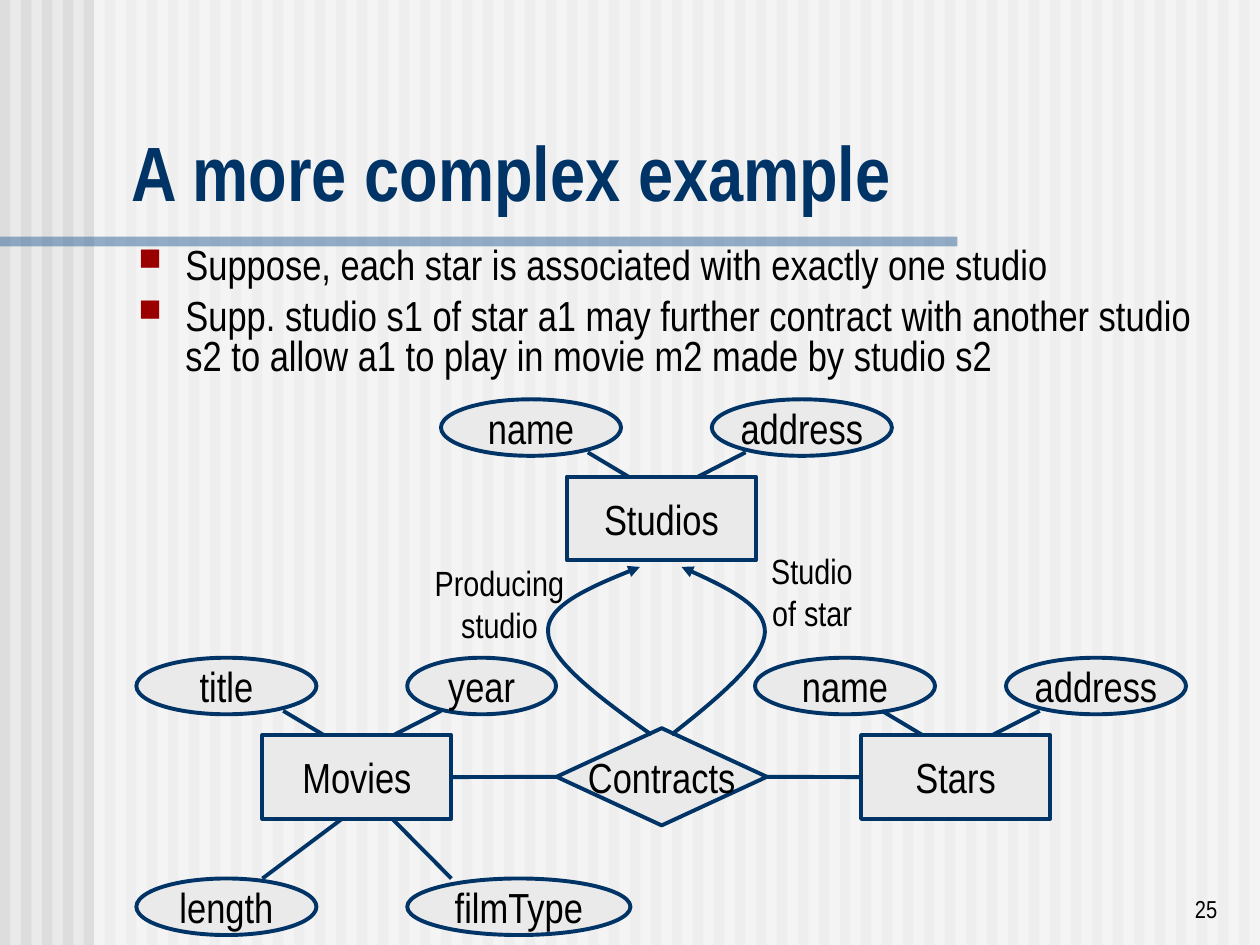
from lxml.etree import SubElement
from pptx import Presentation
from pptx.dml.color import RGBColor
from pptx.enum.shapes import MSO_CONNECTOR, MSO_SHAPE
from pptx.enum.text import MSO_ANCHOR, PP_ALIGN
from pptx.oxml.ns import qn
from pptx.util import Cm, Pt

NAVY = RGBColor(0x00, 0x33, 0x66)
BLUE = RGBColor(0x33, 0x66, 0x99)
RED = RGBColor(0x9A, 0x00, 0x00)
PALE = RGBColor(0xEA, 0xEA, 0xEA)
GREY = RGBColor(0xDD, 0xDD, 0xDD)
WHITE = RGBColor(0xFF, 0xFF, 0xFF)
BLACK = RGBColor(0x00, 0x00, 0x00)
FONT = "Arial Narrow"

# All lengths are in centimetres.
WIDE, HIGH = 25.4, 19.05
STRIPES = 60
BOX_W, BOX_H = 3.81, 1.69
OVAL_W, OVAL_H = 3.63, 1.14
ABOVE, BELOW = -1.56, 2.89  # top of an oval row, from the top of its box

TITLE = "A more complex example"
BULLETS = [
    "Suppose, each star is associated with exactly one studio",
    "Supp. studio s1 of star a1 may further contract with another studio "
    "s2 to allow a1 to play in movie m2 made by studio s2",
]
# Entity: left, top, and its ovals as (text, offset, row, width)
ENTITIES = {
    "Movies": (5.29, 14.82, [("title", -2.54, ABOVE, OVAL_W),
                             ("year", 2.92, ABOVE, 3.0),
                             ("length", -2.54, BELOW, OVAL_W),
                             ("filmType", 2.92, BELOW, 4.5)]),
    "Stars": (17.36, 14.82, [("name", -2.14, ABOVE, OVAL_W),
                             ("address", 2.92, ABOVE, OVAL_W)]),
    "Studios": (11.43, 9.61, [("name", -2.54, ABOVE, OVAL_W),
                              ("address", 2.92, ABOVE, OVAL_W)]),
}
# (row, right side?): line from an oval to the box edge, offsets from the box
SPOKES = {
    (ABOVE, False): (0.42, -0.49, 1.24, 0),
    (ABOVE, True): (3.6, -0.49, 2.64, 0),
    (BELOW, False): (0, BELOW, 1.6, BOX_H),
    (BELOW, True): (3.81, BELOW, 2.62, BOX_H),
}
# Role: lines of text, label place, and two cubic curves end to end
ROLES = [
    (["Producing", "studio"], (7.24, 11.18),
     [(13.13, 14.81), (12.09, 14.07), (11.07, 13.31), (11.05, 12.75),
      (11.0, 12.19), (11.96, 11.81), (12.9, 11.43)]),
    (["Studio", "of star"], (13.54, 10.95),
     [(13.54, 14.81), (14.48, 14.07), (15.39, 13.31), (15.42, 12.75),
      (15.44, 12.19), (14.58, 11.81), (13.74, 11.43)]),
]

prs = Presentation()
prs.slide_width, prs.slide_height = Cm(WIDE), Cm(HIGH)
slide = prs.slides.add_slide(prs.slide_layouts[6])
slide.background.fill.solid()
slide.background.fill.fore_color.rgb = PALE
shapes = slide.shapes


def write(shape, lines, size=24, color=BLACK, bold=False, wrap=False,
          align=PP_ALIGN.CENTER, anchor=MSO_ANCHOR.MIDDLE,
          bullet=None, spacing=None, before=0):
    frame = shape.text_frame
    frame.word_wrap, frame.vertical_anchor = wrap, anchor
    for i, line in enumerate(lines):
        para = frame.paragraphs[0] if i == 0 else frame.add_paragraph()
        if bullet:
            props = para._p.get_or_add_pPr()
            props.set("marL", str(Cm(0.95)))
            props.set("indent", str(-Cm(0.95)))
            tint = SubElement(props, qn("a:buClr"))
            SubElement(tint, qn("a:srgbClr")).set("val", str(RED))
            SubElement(props, qn("a:buSzPct")).set("val", "75000")
            SubElement(props, qn("a:buChar")).set("char", bullet)
        para.alignment = align
        if spacing:
            para.line_spacing = spacing
        if i and before:
            para.space_before = Pt(before)
        run = para.add_run()
        run.text = line
        font = run.font
        font.name, font.size, font.bold = FONT, Pt(size), bold
        font.color.rgb = color


def text(x, y, w, h, lines, **form):
    write(shapes.add_textbox(Cm(x), Cm(y), Cm(w), Cm(h)), lines, **form)


def band(x, y, w, h, color, alpha=None):
    """Add a rectangle with no outline, see-through if alpha is given."""
    rect = shapes.add_shape(MSO_SHAPE.RECTANGLE, Cm(x), Cm(y), Cm(w), Cm(h))
    rect.shadow.inherit = False
    rect.fill.solid()
    rect.fill.fore_color.rgb = color
    rect.line.fill.background()
    if alpha:
        tint = rect._element.spPr.find(".//" + qn("a:srgbClr"))
        SubElement(tint, qn("a:alpha")).set("val", str(alpha * 1000))


def stroke(shape):
    shape.line.color.rgb = NAVY
    shape.line.width = Pt(2.25)


def node(kind, x, y, w, h, label):
    shape = shapes.add_shape(kind, Cm(x), Cm(y), Cm(w), Cm(h))
    shape.shadow.inherit = False
    shape.fill.solid()
    shape.fill.fore_color.rgb = PALE
    stroke(shape)
    write(shape, [label])
    return shape


def link(x1=0, y1=0, x2=0, y2=0):
    line = shapes.add_connector(MSO_CONNECTOR.STRAIGHT,
                                Cm(x1), Cm(y1), Cm(x2), Cm(y2))
    stroke(line)
    SubElement(line._element.spPr, qn("a:effectLst"))
    return line


def cubic(a, b, c, d, steps=20):
    """Return points along a cubic curve, without its start."""
    points = []
    for i in range(1, steps + 1):
        t = i / steps
        s = 1 - t
        points.append(tuple(
            Cm(s**3 * p + 3 * s * s * t * q + 3 * s * t * t * r + t**3 * e)
            for p, q, r, e in zip(a, b, c, d)))
    return points


def arrow(knots):
    x, y = knots[0]
    pen = shapes.build_freeform(Cm(x), Cm(y))
    pen.add_line_segments(cubic(*knots[:4]) + cubic(*knots[3:]), close=False)
    curve = pen.convert_to_shape()
    curve.shadow.inherit = False
    curve.fill.background()
    stroke(curve)
    SubElement(curve.line._get_or_add_ln(),
               qn("a:tailEnd")).set("type", "triangle")


pitch = WIDE / STRIPES
for i in range(STRIPES):
    band(i * pitch, 0, pitch / 2, HIGH, GREY)
band(1.9, 0, WIDE - 1.9, HIGH, WHITE, alpha=50)
band(0, 4.77, 19.3, 0.2, BLUE, alpha=50)

text(2.41, 2.39, 22.68, 2.11, [TITLE], size=44, color=NAVY, bold=True,
     wrap=True, align=PP_ALIGN.LEFT, anchor=MSO_ANCHOR.BOTTOM)
text(2.54, 4.88, 22.53, 3.18, BULLETS, wrap=True, align=PP_ALIGN.LEFT,
     anchor=MSO_ANCHOR.TOP, bullet="■", spacing=0.8, before=6)

boxes = {}
for name, (x, y, ovals) in ENTITIES.items():
    for label, dx, row, w in ovals:
        node(MSO_SHAPE.OVAL, x + dx, y + row, w, OVAL_H, label)
        x1, y1, x2, y2 = SPOKES[row, dx > 0]
        link(x + x1, y + y1, x + x2, y + y2)
    boxes[name] = node(MSO_SHAPE.RECTANGLE, x, y, BOX_W, BOX_H, name)

deal = node(MSO_SHAPE.DIAMOND, 11.22, 14.68, 4.24, 1.96, "Contracts")
for name, start, end in [("Movies", 1, 3), ("Stars", 3, 1)]:
    line = link()
    line.begin_connect(deal, start)
    line.end_connect(boxes[name], end)

for lines, (x, y), knots in ROLES:
    arrow(knots)
    text(x, y, 5.66, 1.96, lines, size=20)

text(19.51, 17.48, 5.28, 1.27, ["25"], size=14, wrap=True,
     align=PP_ALIGN.RIGHT, anchor=MSO_ANCHOR.BOTTOM)

prs.save("out.pptx")
